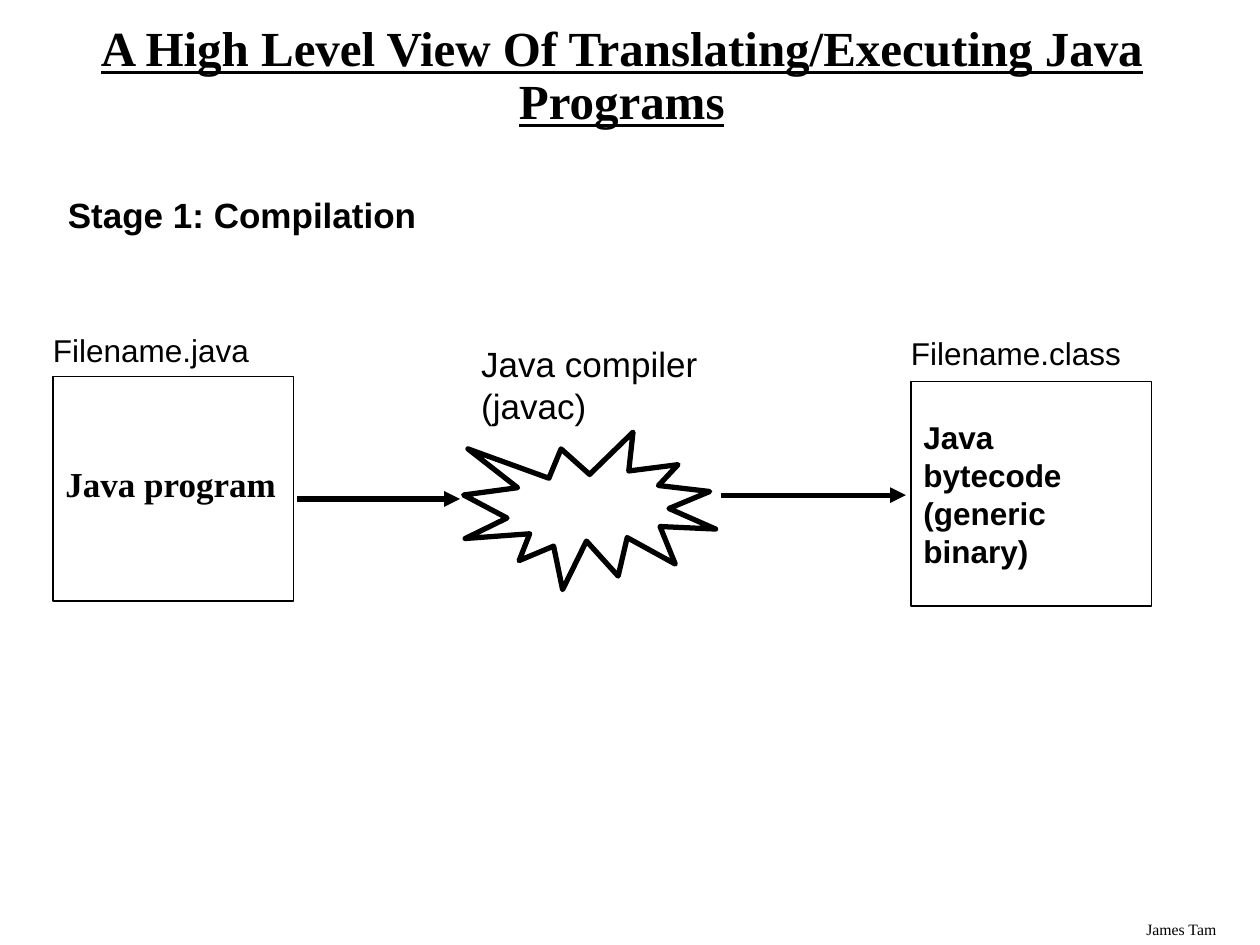
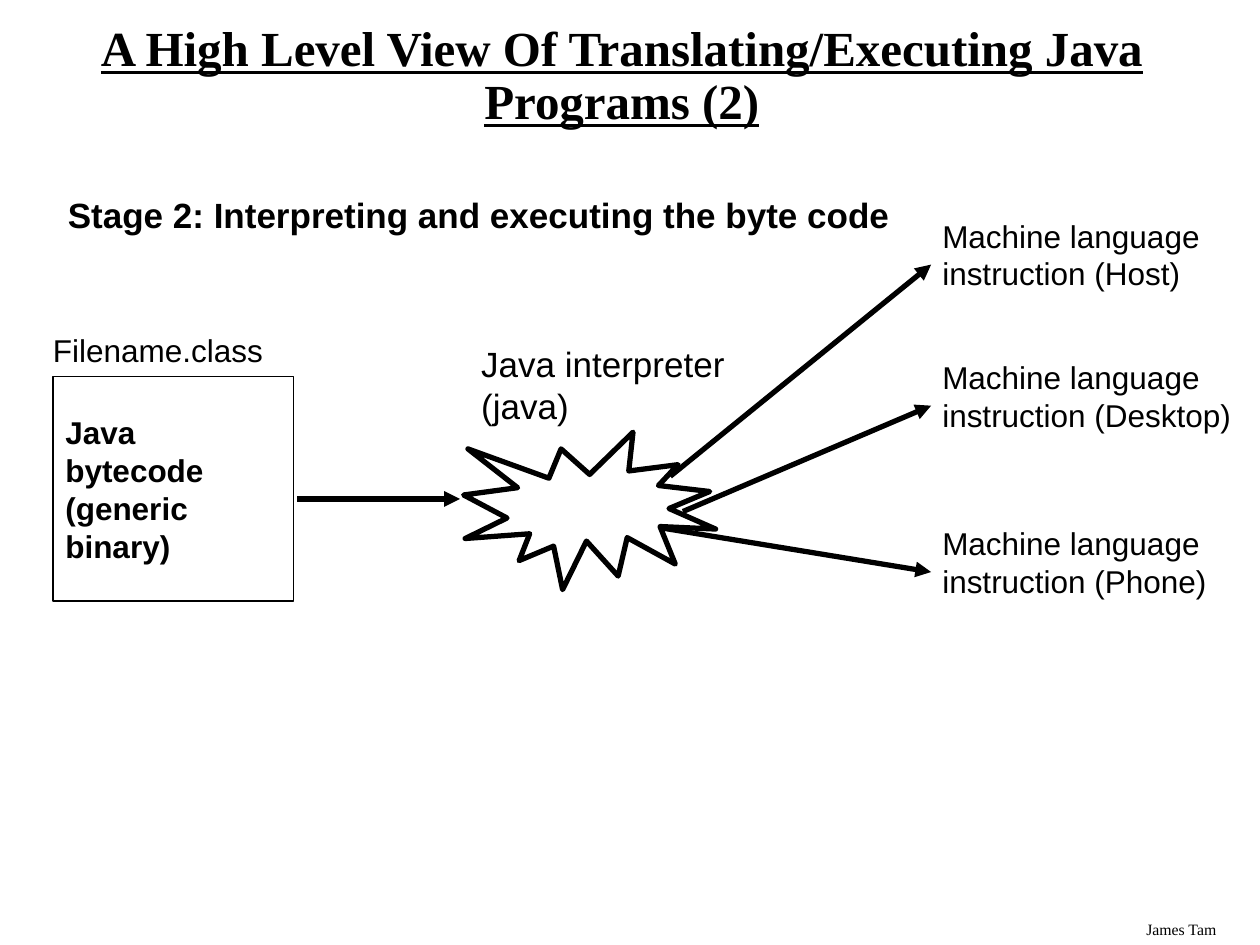
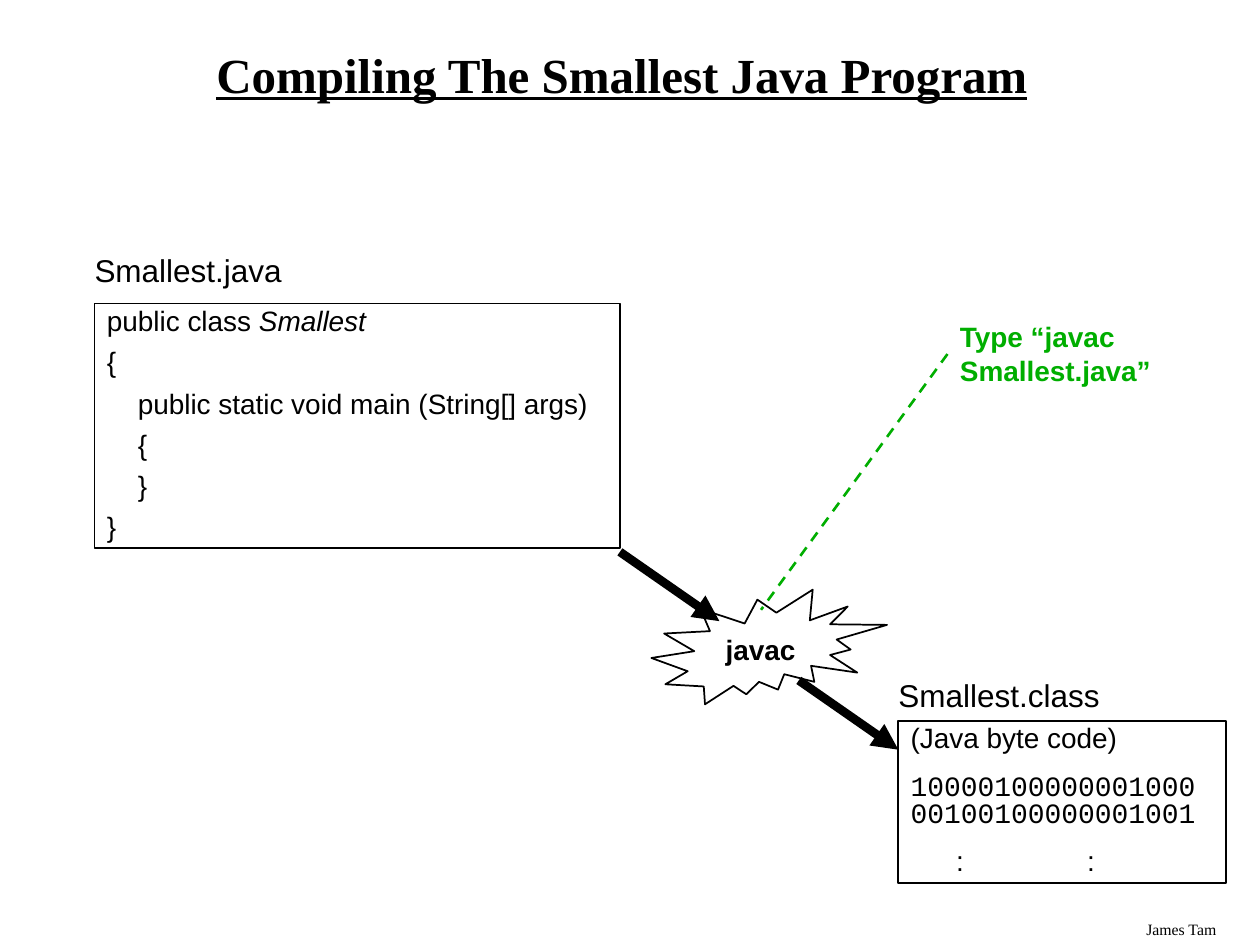
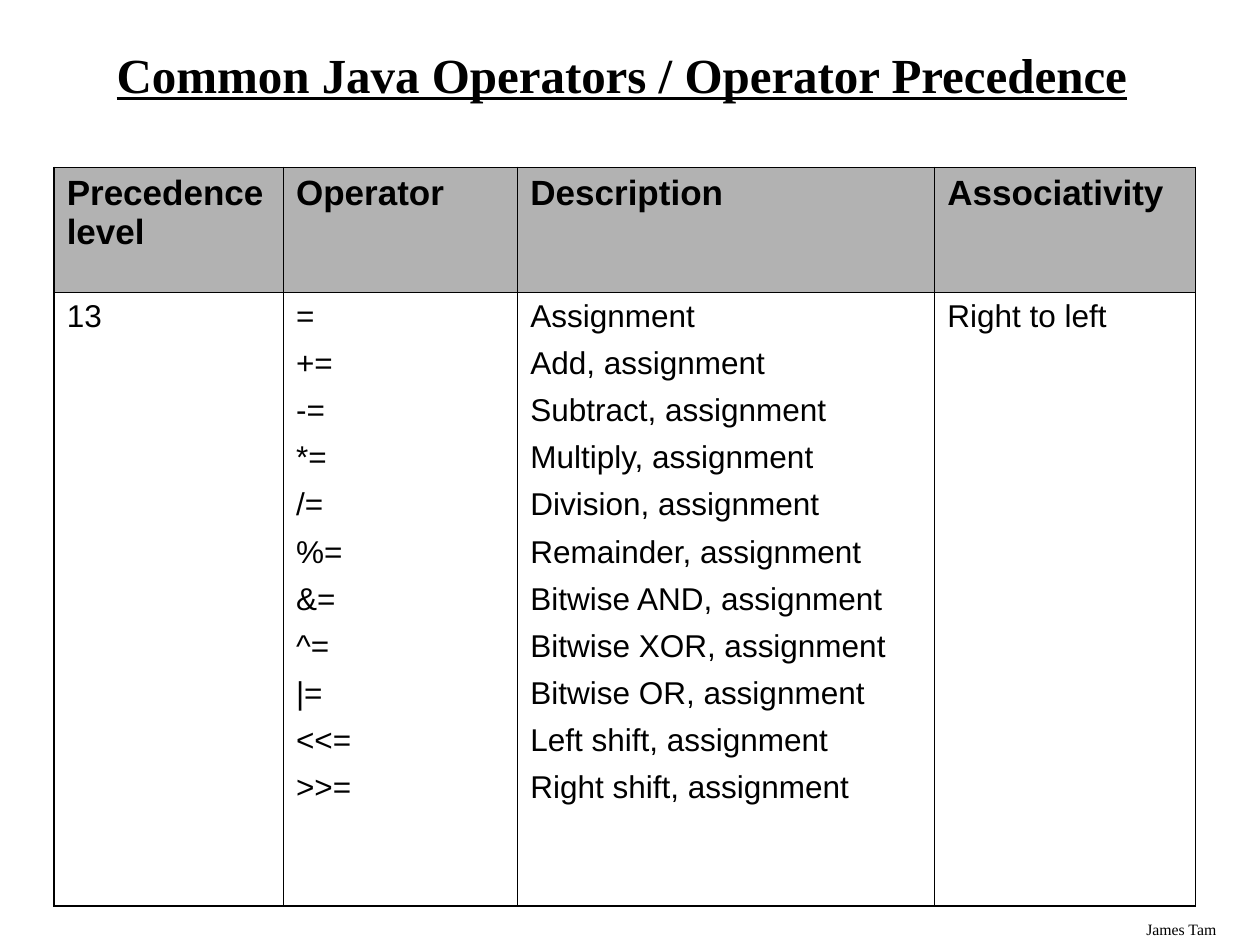
from dataclasses import dataclass, replace

from lxml import etree
from pptx import Presentation
from pptx.dml.color import RGBColor
from pptx.enum.dml import MSO_LINE_DASH_STYLE as Dash
from pptx.enum.shapes import MSO_CONNECTOR as Connector, MSO_SHAPE as Preset
from pptx.enum.text import MSO_ANCHOR as Anchor, MSO_AUTO_SIZE as AutoSize, PP_ALIGN as Align
from pptx.oxml.ns import qn
from pptx.util import Inches, Pt

# Shared look
BLACK = RGBColor(0x00, 0x00, 0x00)
GREEN = RGBColor(0x00, 0xAE, 0x00)
HEADER_GRAY = RGBColor(0xB2, 0xB2, 0xB2)
SERIF = "Times New Roman"
TITLE_ONLY = 5
THIN, THICK = 0.45, 1.08


@dataclass(frozen=True)
class Style:
    size: int
    font: str = "Arial"
    color: RGBColor = BLACK
    bold: bool = False
    italic: bool = False
    underline: bool = False


@dataclass(frozen=True)
class Para:
    runs: tuple
    space_before: float = 0
    line_spacing: float = 1
    align: Align = Align.LEFT
    tabs: tuple = ()


TITLE = Style(28, SERIF, bold=True, underline=True)
FOOTER = Style(9, SERIF)
LABEL = Style(18)
LABEL_BOLD = replace(LABEL, bold=True)
STAGE = Style(20)
STAGE_BOLD = replace(STAGE, bold=True)
CODE = Style(16)
CODE_BOLD = replace(CODE, bold=True)

BYTECODE = Para((("Java bytecode (generic binary)", LABEL_BOLD),))


# Text
def line(text, style, **options):
    return Para(((text, style),), **options)


def write(frame, *paragraphs):
    for index, content in enumerate(paragraphs):
        paragraph = frame.add_paragraph() if index else frame.paragraphs[0]
        if content.tabs:
            tab_list = etree.SubElement(paragraph._p.get_or_add_pPr(), qn("a:tabLst"))
            for position in content.tabs:
                etree.SubElement(tab_list, qn("a:tab"), pos=str(Inches(position)), algn="l")
        paragraph.alignment = content.align
        paragraph.line_spacing = content.line_spacing
        paragraph.space_before = Pt(content.space_before)
        for text, style in content.runs:
            run = paragraph.add_run()
            run.text = text
            font = run.font
            font.name, font.size = style.font, Pt(style.size)
            font.bold, font.italic, font.underline = style.bold, style.italic, style.underline
            font.color.rgb = style.color


def set_frame(frame, anchor=Anchor.TOP, left_inset=0.1, wrap=True):
    frame.word_wrap = wrap
    frame.auto_size = AutoSize.NONE
    frame.vertical_anchor = anchor
    frame.margin_left, frame.margin_right = Inches(left_inset), Inches(0.1)
    frame.margin_top = frame.margin_bottom = Inches(0.05)


def add_text(slide, box, *paragraphs, left_inset=0.1):
    shape = slide.shapes.add_textbox(*map(Inches, box))
    set_frame(shape.text_frame, left_inset=left_inset)
    write(shape.text_frame, *paragraphs)
    return shape


# Shapes and lines
def add_outline(slide, preset, box, weight, *paragraphs, anchor=Anchor.MIDDLE, wrap=True):
    shape = slide.shapes.add_shape(preset, *map(Inches, box))
    shape.shadow.inherit = False
    shape.fill.background()
    shape.line.color.rgb = BLACK
    shape.line.width = Pt(weight)
    set_frame(shape.text_frame, anchor, wrap=wrap)
    write(shape.text_frame, *paragraphs)
    return shape


def add_line(slide, start, end, weight, color=BLACK, dash=None, arrow=True):
    connector = slide.shapes.add_connector(Connector.STRAIGHT, *map(Inches, start + end))
    connector.line.color.rgb = color
    connector.line.width = Pt(weight)
    if dash:
        connector.line.dash_style = dash
    if arrow:
        etree.SubElement(connector.line._ln, qn("a:tailEnd"), type="triangle")
    etree.SubElement(connector.element.spPr, qn("a:effectLst"))
    return connector


# Regions
def add_file_box(slide, box, name, *paragraphs, weight=0.75, label_rise=0.41,
                 anchor=Anchor.MIDDLE):
    """A framed file with its name above it."""
    left, top = box[:2]
    add_outline(slide, Preset.RECTANGLE, box, weight, *paragraphs, anchor=anchor)
    add_text(slide, (left, top - label_rise, 2.15, 0.4), line(name, LABEL), left_inset=0)


def add_translator(slide, left, top, name):
    """A burst with its name above and an arrow coming in from the left."""
    add_outline(slide, Preset.EXPLOSION1, (left, top, 2, 1.25), 3)
    add_text(slide, (left + 0.04, top - 0.76, 2.21, 0.77), line(name, STAGE))
    add_line(slide, (left - 1.32, top + 0.53), (left - 0.03, top + 0.53), 3)


def add_machine(slide, left, top, system, start):
    """One target machine and the arrow that reaches it."""
    add_line(slide, start, (left + 0.01, top + 0.43), 3)
    add_text(slide, (left, top, 2.62, 0.7),
             line(f"Machine language instruction ({system})", LABEL))


def add_stage_heading(slide, text):
    add_text(slide, (0.44, 1.49, 6.86, 0.44), line(text, STAGE_BOLD))


def add_titled_slide(presentation, title):
    slide = presentation.slides.add_slide(presentation.slide_layouts[TITLE_ONLY])
    shape = slide.shapes.title
    shape.left, shape.top, shape.width, shape.height = map(Inches, (0.47, 0.33, 8.93, 0.57))
    set_frame(shape.text_frame, Anchor.MIDDLE)
    write(shape.text_frame, line(title, TITLE, line_spacing=0.9, align=Align.CENTER))
    return slide


def put_footer_on_layout(slide):
    """Place the author's name on the layout that every slide uses."""
    footer = add_text(slide, (9, 7.25, 1, 0.25), line("James Tam", FOOTER))
    footer.element.nvSpPr.cNvPr.set("id", "100")
    slide.slide_layout.shapes.element.append(footer.element)


# Operator table
def set_border(cell, side, weight):
    border = etree.SubElement(cell._tc.get_or_add_tcPr(), qn(f"a:{side}"), w=str(Pt(weight)))
    fill = etree.SubElement(border, qn("a:solidFill"))
    etree.SubElement(fill, qn("a:srgbClr"), val=str(BLACK))


def add_operator_table(slide, left, top, widths, heights, rows):
    last_row, last_column = len(heights) - 1, len(widths) - 1
    frame = slide.shapes.add_table(len(heights), len(widths), *map(
        Inches, (left, top, sum(widths), sum(heights))))
    table = frame.table
    table.first_row = table.horz_banding = False
    for column, width in zip(table.columns, widths):
        column.width = Inches(width)
    for row, height in zip(table.rows, heights):
        row.height = Inches(height)
    for r, row in enumerate(rows):
        style = LABEL if r else STAGE_BOLD
        for c, lines in enumerate(row):
            cell = table.cell(r, c)
            outer = {"lnL": c == 0, "lnR": c == last_column, "lnT": r == 0, "lnB": r == last_row}
            for side, is_outer in outer.items():
                set_border(cell, side, THICK if is_outer else THIN)
            if r:
                cell.fill.background()
            else:
                cell.fill.solid()
                cell.fill.fore_color.rgb = HEADER_GRAY
            cell.margin_left = cell.margin_right = Inches(0.1)
            cell.margin_top = cell.margin_bottom = Inches(0.05)
            write(cell.text_frame, *(line(text, style, space_before=6.8 if i else 0)
                                     for i, text in enumerate(lines)))


# Slides
def build_compilation(presentation):
    slide = add_titled_slide(presentation,
                             "A High Level View Of Translating/Executing Java Programs")
    put_footer_on_layout(slide)
    add_translator(slide, 3.68, 3.43, "Java compiler (javac)")
    add_file_box(slide, (0.42, 2.99, 1.91, 1.78), "Filename.java",
                 line("Java program", replace(STAGE_BOLD, font=SERIF), line_spacing=0.7))
    add_line(slide, (5.72, 3.93), (7.19, 3.93), 3)
    add_file_box(slide, (7.23, 3.03, 1.91, 1.78), "Filename.class", BYTECODE, label_rise=0.43)
    add_stage_heading(slide, "Stage 1: Compilation")


def build_interpretation(presentation):
    slide = add_titled_slide(presentation,
                             "A High Level View Of Translating/Executing Java Programs (2)")
    add_translator(slide, 3.68, 3.43, "Java interpreter (java)")
    add_file_box(slide, (0.42, 2.99, 1.91, 1.78), "Filename.class", BYTECODE)
    for system, top, start in (("Host", 1.67, (5.32, 3.78)),
                               ("Desktop", 2.79, (5.42, 4.06)),
                               ("Phone", 4.11, (5.25, 4.19))):
        add_machine(slide, 7.38, top, system, start)
    add_stage_heading(slide, "Stage 2: Interpreting and executing the byte code")


def build_smallest_program(presentation):
    slide = add_titled_slide(presentation, "Compiling The Smallest Java Program")

    # Source file
    declaration = Para((("public class ", CODE), ("Smallest", replace(CODE, italic=True))),
                       line_spacing=0.8)
    body = [line(text, CODE, space_before=10, line_spacing=0.7) for text in (
        "{", "    public static void main (String[] args)", "    {", "    }", "}")]
    add_file_box(slide, (0.75, 2.41, 4.17, 1.94), "Smallest.java", declaration, *body,
                 weight=1, label_rise=0.47, anchor=Anchor.TOP)

    # Compiler
    add_outline(slide, Preset.EXPLOSION2, (5.17, 4.68, 1.87, 0.91), 1,
                line("javac", CODE_BOLD, align=Align.CENTER), wrap=False)
    add_line(slide, (4.92, 4.38), (5.71, 4.93), 5)

    # Class file
    spacing = dict(space_before=12, line_spacing=0.8)
    add_file_box(slide, (7.13, 5.72, 2.6, 1.29), "Smallest.class",
                 line("(Java byte code)", CODE, line_spacing=0.8),
                 line("10000100000001000 00100100000001001",
                      replace(CODE, font="Courier New"), **spacing),
                 line("\t:\t:", CODE, tabs=(0.36, 1.4), **spacing),
                 weight=1, label_rise=0.4, anchor=Anchor.TOP)
    add_line(slide, (6.34, 5.4), (7.13, 5.95), 5)

    # Command to type
    command = add_text(slide, (7.52, 2.49, 1.81, 0.64),
                       line("Type “javac Smallest.java”", replace(CODE_BOLD, color=GREEN)))
    pointer = add_line(slide, (7.52, 2.81), (6.04, 4.84), 1.5, GREEN, Dash.DASH, arrow=False)
    pointer.begin_connect(command, 1)


def build_operators(presentation):
    slide = add_titled_slide(presentation, "Common Java Operators / Operator Precedence")
    operators = {
        "=": "Assignment",
        "+=": "Add, assignment",
        "-=": "Subtract, assignment",
        "*=": "Multiply, assignment",
        "/=": "Division, assignment",
        "%=": "Remainder, assignment",
        "&=": "Bitwise AND, assignment",
        "^=": "Bitwise XOR, assignment",
        "|=": "Bitwise OR, assignment",
        "<<=": "Left shift, assignment",
        ">>=": "Right shift, assignment",
    }
    header = [["Precedence level"], ["Operator"], ["Description"], ["Associativity"]]
    level = [["13"], list(operators), list(operators.values()), ["Right to left"]]
    add_operator_table(slide, 0.43, 1.33, (1.82, 1.86, 3.31, 2.07), (0.99, 4.87),
                       (header, level))


def main():
    presentation = Presentation()
    presentation.slide_width, presentation.slide_height = Inches(10), Inches(7.5)
    build_compilation(presentation)
    build_interpretation(presentation)
    build_smallest_program(presentation)
    build_operators(presentation)
    presentation.save("out.pptx")


if __name__ == "__main__":
    main()
